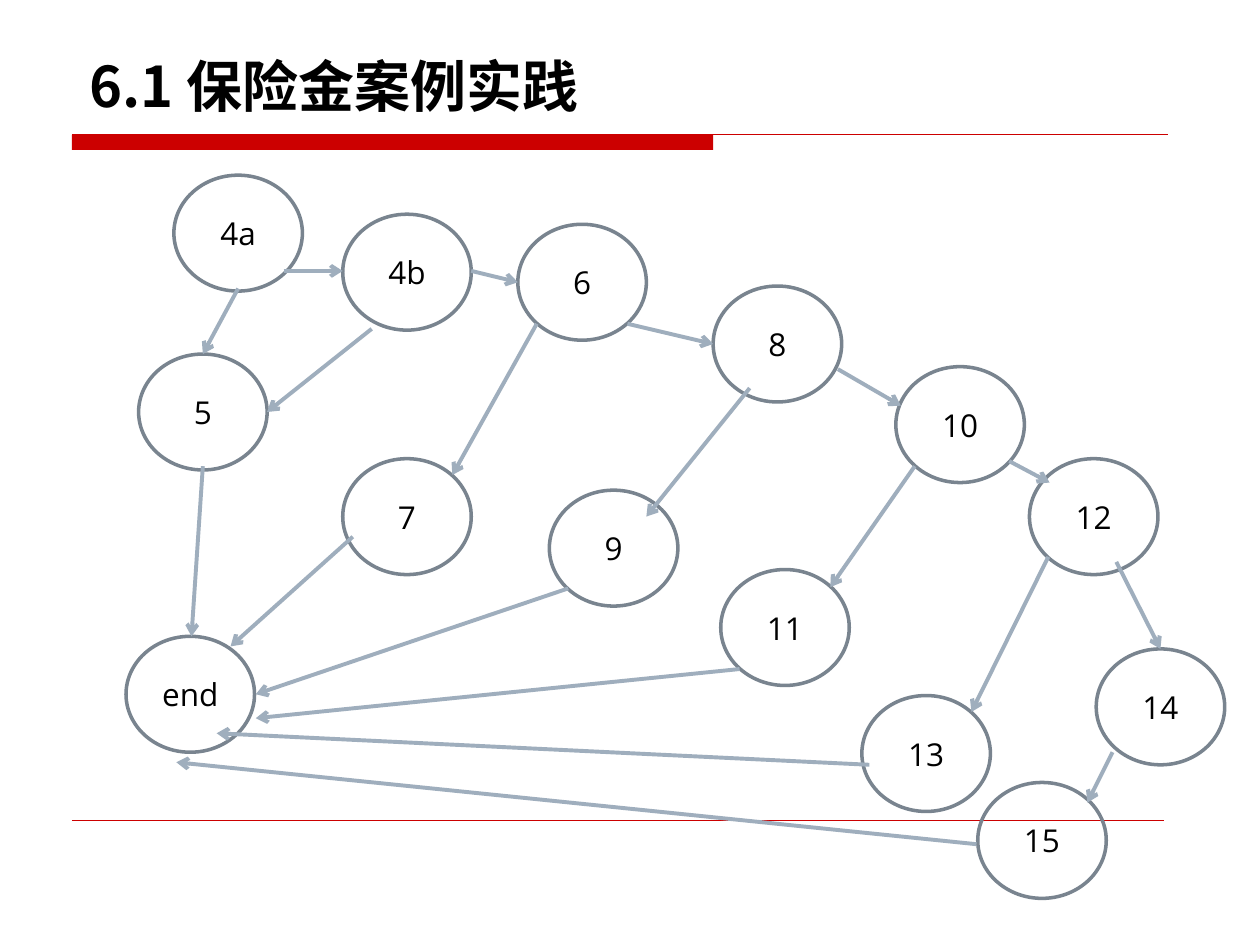
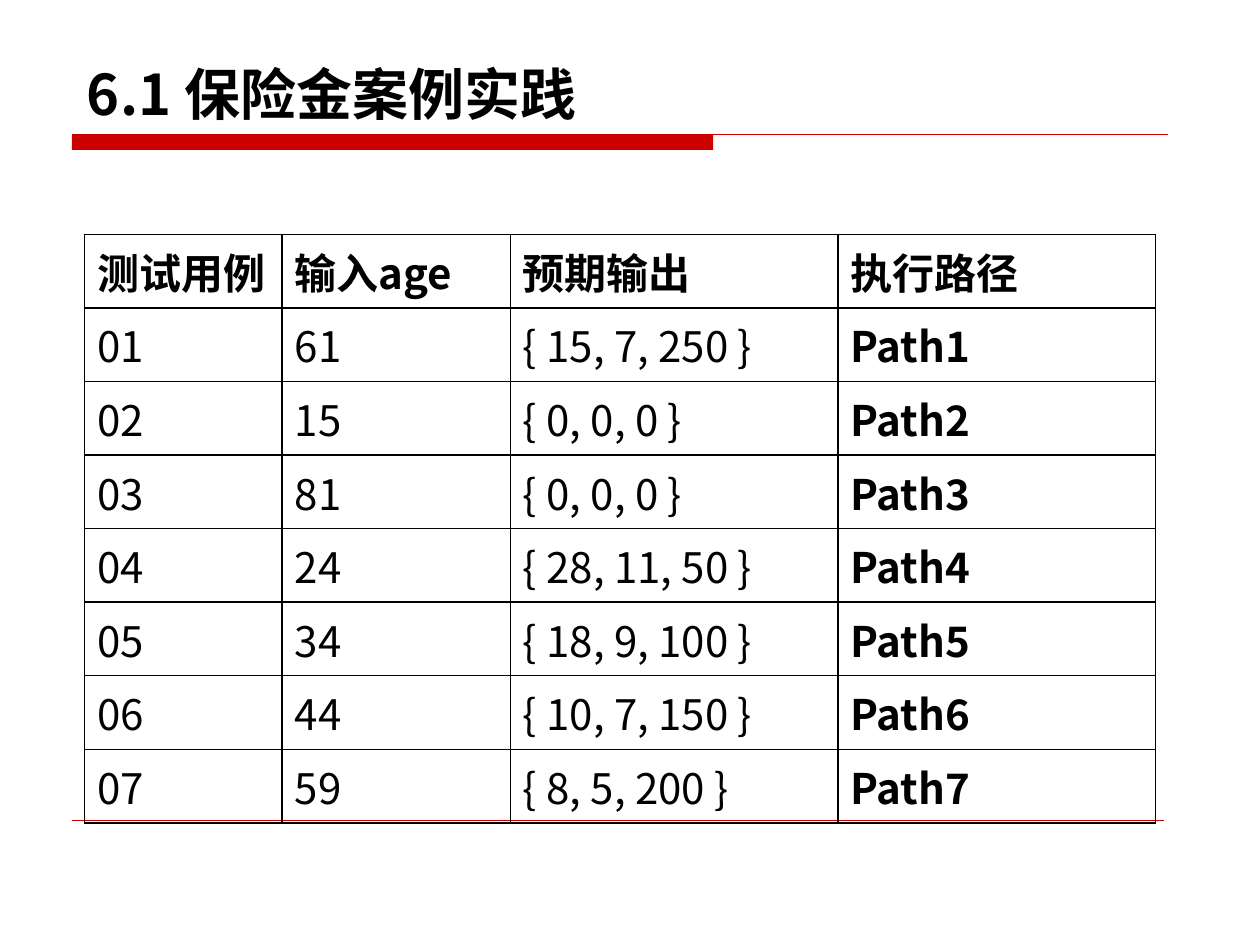
from pptx import Presentation, util as u
from pptx.dml.color import RGBColor
from pptx.enum import shapes, text
from pptx.oxml import ns
from lxml import etree

COLOURS = {"accent": "CC0000", "node": "79848F", "arrow": "9FAEBD", "ink": "000000"}
HEADING_FONT, NODE_FONT = "Noto Sans CJK SC", "Open Sans"
TITLE = "6.1 保险金案例实践"
TITLE_SIZE = (8.75, 1.33)
MARGIN, BAND_TOP, FOOTER_TOP = 0.57, 1.07, 6.51
NODE_SIZE = (1.02, 0.92)

NODES = {
    "4a": (1.38, 1.39), "4b": (2.72, 1.7), "6": (4.11, 1.78), "8": (5.66, 2.27),
    "10": (7.11, 2.91), "12": (8.17, 3.64), "5": (1.1, 2.81), "7": (2.72, 3.64),
    "9": (4.36, 3.89), "11": (5.72, 4.52), "13": (6.84, 5.52), "end": (1, 5.05),
    "14": (8.7, 5.15), "15": (7.76, 6.21),
}
BRANCHES = [
    ((1.89, 2.29), (1.61, 2.81)), ((2.95, 2.61), (2.12, 3.27)),
    ((2.25, 2.15), (2.72, 2.15)), ((3.74, 2.15), (4.11, 2.24)),
    ((4.98, 2.57), (5.66, 2.73)), ((6.65, 2.93), (7.15, 3.22)),
    ((8.01, 3.66), (8.33, 3.83)), ((4.26, 2.57), (3.59, 3.77)),
    ((5.95, 3.08), (5.13, 4.1)), ((7.26, 3.7), (6.59, 4.66)),
    ((8.32, 4.42), (7.71, 5.65)), ((8.86, 4.46), (9.21, 5.15)),
    ((8.83, 5.97), (8.63, 6.37)),
]
EXITS = [
    ((1.61, 3.7), (1.52, 5.05)), ((2.8, 4.26), (1.83, 5.13)),
    ((4.51, 4.67), (2.03, 5.51)), ((5.87, 5.31), (2.03, 5.7)),
    ((6.9, 6.07), (1.72, 5.82)), ((7.75, 6.7), (1.4, 6.05)),
]

HEADINGS = ["测试用例", "输入age", "预期输出", "执行路径"]
CASES = [
    ("61", "{ 15, 7, 250 }"), ("15", "{ 0, 0, 0 }"), ("81", "{ 0, 0, 0 }"),
    ("24", "{ 28, 11, 50 }"), ("34", "{ 18, 9, 100 }"), ("44", "{ 10, 7, 150 }"),
    ("59", "{ 8, 5, 200 }"),
]
COLUMN_WIDTHS, ROW_HEIGHT = [1.57, 1.81, 2.6, 2.52], 0.58


def colour(key):
    """Return the named colour."""
    return RGBColor.from_string(COLOURS[key])


def inches(*lengths):
    """Convert several lengths to EMU."""
    return [u.Inches(length) for length in lengths]


def add_run(paragraph, words, size, font, bold=False):
    """Append one formatted run, with its East Asian typeface."""
    run = paragraph.add_run()
    run.text = words
    run.font.size, run.font.name, run.font.bold = u.Pt(size), font, bold
    run.font.color.rgb = colour("ink")
    east_asian = etree.SubElement(run.font._element, ns.qn("a:ea"))
    east_asian.set("typeface", font)


def add_line(slide, start, end, key, width, arrow=False):
    """Draw a straight line, optionally with an open arrowhead."""
    link = slide.shapes.add_connector(
        shapes.MSO_CONNECTOR.STRAIGHT, *inches(*start, *end))
    link.line.color.rgb, link.line.width = colour(key), u.Pt(width)
    if arrow:
        outline = link.line._get_or_add_ln()
        etree.SubElement(outline, ns.qn("a:tailEnd")).set("type", "arrow")
    etree.SubElement(link._element.spPr, ns.qn("a:effectLst"))


def add_page(deck, left, top):
    """Start a slide with the shared band, rules and title."""
    slide = deck.slides.add_slide(deck.slide_layouts[5])
    band = slide.shapes.add_shape(
        shapes.MSO_SHAPE.RECTANGLE, *inches(MARGIN, BAND_TOP, 5.09, 0.12))
    band.shadow.inherit = False
    band.fill.solid()
    band.fill.fore_color.rgb = colour("accent")
    band.line.fill.background()
    add_line(slide, (MARGIN, BAND_TOP), (9.27, BAND_TOP), "accent", 0.75)
    add_line(slide, (MARGIN, FOOTER_TOP), (9.24, FOOTER_TOP), "accent", 0.25)

    title = slide.shapes.title
    title.left, title.top, title.width, title.height = inches(left, top, *TITLE_SIZE)
    frame = title.text_frame
    frame.auto_size, frame.word_wrap = text.MSO_AUTO_SIZE.NONE, True
    frame.vertical_anchor = text.MSO_ANCHOR.BOTTOM
    frame.paragraphs[0].alignment = text.PP_ALIGN.LEFT
    add_run(frame.paragraphs[0], TITLE, 32, HEADING_FONT, True)
    return slide


def add_node(slide, label, corner):
    """Draw one labelled node of the flow graph."""
    node = slide.shapes.add_shape(
        shapes.MSO_SHAPE.OVAL, *inches(*corner, *NODE_SIZE))
    node.shadow.inherit = False
    node.fill.background()
    node.line.color.rgb, node.line.width = colour("node"), u.Pt(2)
    frame = node.text_frame
    frame.vertical_anchor = text.MSO_ANCHOR.MIDDLE
    frame.paragraphs[0].alignment = text.PP_ALIGN.CENTER
    add_run(frame.paragraphs[0], label, 18, NODE_FONT)


def frame_cell(cell):
    """Give a cell thin borders and no fill."""
    properties = cell._tc.get_or_add_tcPr()
    for side in ("lnL", "lnR", "lnT", "lnB"):
        border = etree.SubElement(properties, ns.qn(f"a:{side}"), w=str(u.Pt(1)))
        paint = etree.SubElement(border, ns.qn("a:solidFill"))
        etree.SubElement(paint, ns.qn("a:srgbClr"), val=COLOURS["ink"])
    cell.fill.background()


def add_case_table(slide):
    """Build the table of test cases, numbering cases and paths."""
    rows = [HEADINGS] + [
        (f"{number:02}", age, output, f"Path{number}")
        for number, (age, output) in enumerate(CASES, 1)]
    cases = slide.shapes.add_table(
        len(rows), len(HEADINGS),
        *inches(0.67, 1.86, sum(COLUMN_WIDTHS), ROW_HEIGHT * len(rows))).table
    cases.first_row = cases.horz_banding = False
    for column, width in zip(cases.columns, COLUMN_WIDTHS):
        column.width = u.Inches(width)
    for r, row in enumerate(rows):
        for c, words in enumerate(row):
            cell = cases.cell(r, c)
            frame_cell(cell)
            bold = r == 0 or c == len(HEADINGS) - 1
            add_run(cell.text_frame.paragraphs[0], words, 24, HEADING_FONT, bold)


def main():
    """Build the flow graph slide and the test case slide."""
    deck = Presentation()
    deck.slide_width, deck.slide_height = inches(10, 7.5)

    graph = add_page(deck, 0.61, -0.34)
    for label, corner in NODES.items():
        add_node(graph, label, corner)
    for start, end in BRANCHES + EXITS:
        add_line(graph, start, end, "arrow", 2.25, arrow=True)

    add_case_table(add_page(deck, 0.59, -0.27))
    deck.save("out.pptx")


main()
